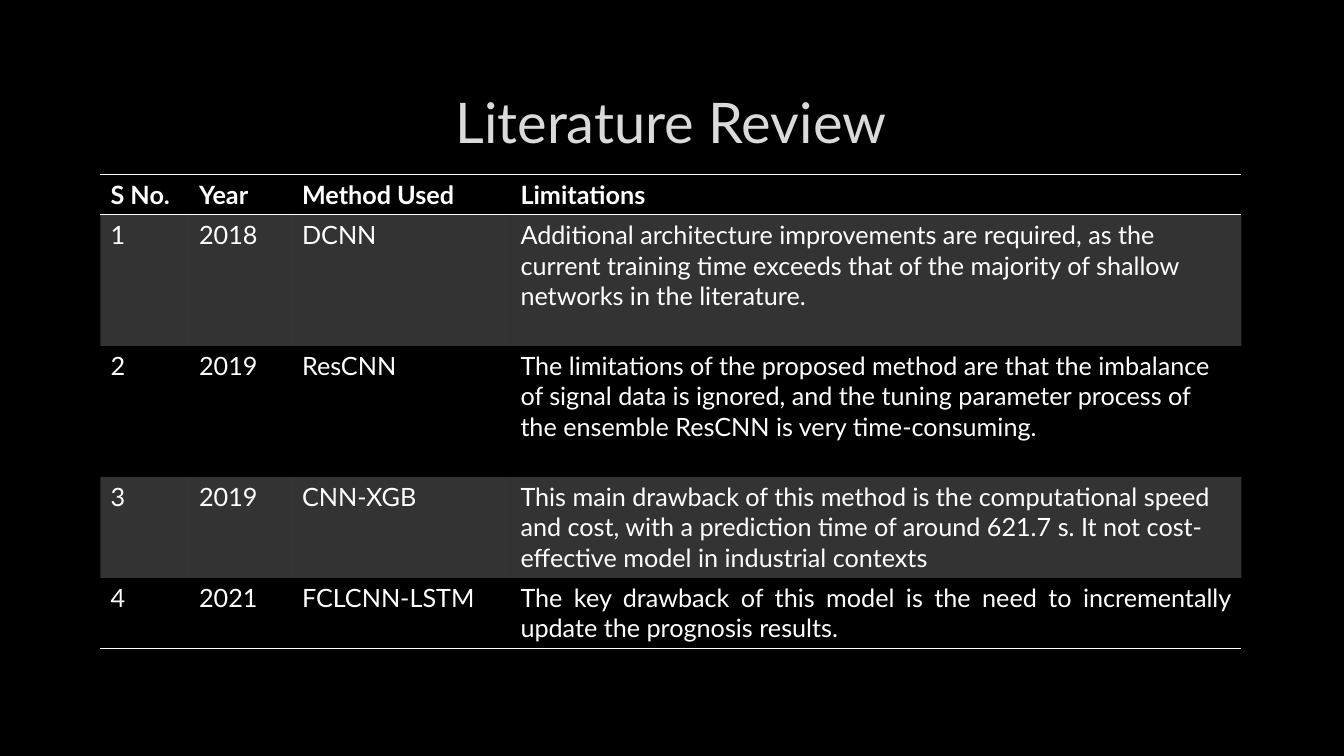
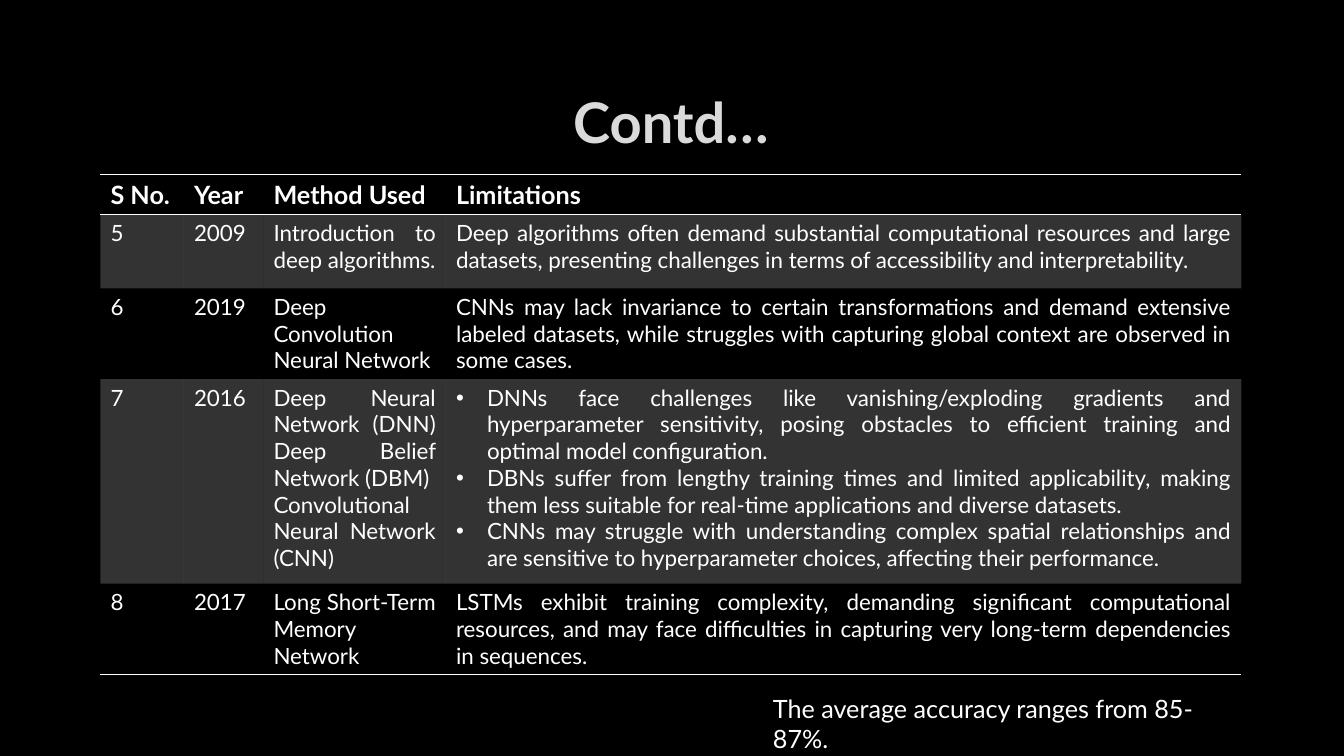
from dataclasses import dataclass
from lxml import etree
from pptx import Presentation
from pptx.dml.color import RGBColor
from pptx.enum.text import MSO_ANCHOR, MSO_AUTO_SIZE, PP_ALIGN
from pptx.oxml.ns import qn
from pptx.util import Pt

LEFT, MID, JUST = PP_ALIGN.LEFT, PP_ALIGN.CENTER, PP_ALIGN.JUSTIFY
CENTRE = MSO_ANCHOR.MIDDLE
FIXED, GROW = MSO_AUTO_SIZE.NONE, MSO_AUTO_SIZE.SHAPE_TO_FIT_TEXT
WIDE, HIGH = 2688, 1512
SCALE = 12192000 / WIDE
PLAIN = "{2D5ABB26-0587-4C30-8999-92F81FD0307C}"


@dataclass(frozen=True)
class Theme:
    font: str = "Lato"
    back: str = "000000"
    ink: str = "FFFFFF"
    head: str = "DADADA"
    edge: str = "404040"
    band: int = 20
    faint: int = 10
    title: int = 40
    text: int = 18
    small: int = 16
    rule: float = 1
    thin: float = 0.75


LOOK = Theme()
TITLE = (201, 135, 2282, 213)
GRID = (201, 349, 2282)
NOTE = (1526, 1377, 960, 81)
HEADS = ["S No.", "Year", "Method Used", "Limitations"]

REVIEW = [
    ["1", "2018", "DCNN",
     "Additional architecture improvements are required, as the current "
     "training time exceeds that of the majority of shallow networks in the "
     "literature."],
    ["2", "2019", "ResCNN",
     "The limitations of the proposed method are that the imbalance of signal "
     "data is ignored, and the tuning parameter process of the ensemble ResCNN "
     "is very time-consuming."],
    ["3", "2019", "CNN-XGB",
     "This main drawback of this method is the computational speed and cost, "
     "with a prediction time of around 621.7 s. It not cost-effective model in "
     "industrial contexts"],
    ["4", "2021", "FCLCNN-LSTM",
     "The key drawback of this model is the need to incrementally update the "
     "prognosis results."],
]

MORE = [
    ["5", "2009", "Introduction to deep algorithms.",
     "Deep algorithms often demand substantial computational resources and "
     "large datasets, presenting challenges in terms of accessibility and "
     "interpretability."],
    ["6", "2019", "Deep Convolution Neural Network",
     "CNNs may lack invariance to certain transformations and demand extensive "
     "labeled datasets, while struggles with capturing global context are "
     "observed in some cases."],
    ["7", "2016",
     "Deep Neural Network (DNN)\vDeep Belief Network (DBM)\n"
     "Convolutional Neural Network (CNN)",
     "DNNs face challenges like vanishing/exploding gradients and "
     "hyperparameter sensitivity, posing obstacles to efficient training and "
     "optimal model configuration.\n"
     "DBNs suffer from lengthy training times and limited applicability, making "
     "them less suitable for real-time applications and diverse datasets.\n"
     "CNNs may struggle with understanding complex spatial relationships and "
     "are sensitive to hyperparameter choices, affecting their performance."],
    ["8", "2017", "Long Short-Term Memory Network",
     "LSTMs exhibit training complexity, demanding significant computational "
     "resources, and may face difficulties in capturing very long-term "
     "dependencies in sequences."],
]


def px(num):
    return round(num * SCALE)


def style(frame, size, color, bold=False, align=LEFT):
    for para in frame.paragraphs:
        para.alignment = align
        for run in para.runs:
            font = run.font
            font.name, font.size, font.bold = LOOK.font, Pt(size), bold
            font.color.rgb = RGBColor.from_string(color)


def paint(node, color, alpha=100):
    fill = etree.SubElement(node, qn("a:solidFill"))
    tint = etree.SubElement(fill, qn("a:srgbClr"), val=color)
    if alpha < 100:
        etree.SubElement(tint, qn("a:alpha"), val=str(alpha * 1000))


def line(tag, width, color, alpha=100):
    node = etree.Element(qn(tag), w=str(Pt(width)))
    paint(node, color, alpha)
    return node


def bullet(frame):
    for para in frame.paragraphs:
        props = para._p.get_or_add_pPr()
        props.set("marL", str(px(62)))
        props.set("indent", str(px(-62)))
        etree.SubElement(props, qn("a:buFont"), typeface="Arial")
        etree.SubElement(props, qn("a:buChar"), char="•")


def add_title(slide, box, text, bold):
    shape = slide.shapes.title
    shape.left, shape.top, shape.width, shape.height = map(px, box)
    frame = shape.text_frame
    frame.text = text
    frame.auto_size, frame.vertical_anchor = FIXED, CENTRE
    style(frame, LOOK.title, LOOK.head, bold, MID)
    props = frame.paragraphs[0].runs[0]._r.get_or_add_rPr()
    props.insert(0, line("a:ln", LOOK.thin, LOOK.edge, LOOK.faint))


def add_note(slide, box, text):
    frame = slide.shapes.add_textbox(*map(px, box)).text_frame
    frame.text = text
    frame.word_wrap, frame.auto_size = True, GROW
    style(frame, LOOK.text, LOOK.ink)


def add_grid(slide, box, cols, tall, rows, size, just):
    left, top, wide = box
    rows = [HEADS] + rows
    last = len(rows) - 1
    frame = slide.shapes.add_table(
        len(rows), len(cols), px(left), px(top), px(wide), px(sum(tall)))
    table = frame.table
    table.first_row = table.horz_banding = False
    table._tbl.tblPr.find(qn("a:tableStyleId")).text = PLAIN
    for col, width in zip(table.columns, cols):
        col.width = px(width)
    for i, (row, height) in enumerate(zip(rows, tall)):
        table.rows[i].height = px(height)
        for j, text in enumerate(row):
            cell = table.cell(i, j)
            cell.text_frame.text = text
            style(cell.text_frame, size if i else LOOK.text, LOOK.ink,
                  i == 0, JUST if i >= just else LEFT)
            if j == 3 and "\n" in text:
                bullet(cell.text_frame)
            props = cell._tc.get_or_add_tcPr()
            if i == 0:
                props.append(line("a:lnT", LOOK.rule, LOOK.ink))
            if i in (0, last):
                props.append(line("a:lnB", LOOK.rule, LOOK.ink))
            if i % 2:
                paint(props, LOOK.ink, LOOK.band)
            else:
                etree.SubElement(props, qn("a:noFill"))


def add_page(deck, title, bold=False):
    slide = deck.slides.add_slide(deck.slide_layouts[5])
    add_title(slide, TITLE, title, bold)
    return slide


def main():
    deck = Presentation()
    deck.slide_width, deck.slide_height = px(WIDE), px(HIGH)
    fill = deck.slide_master.background.fill
    fill.solid()
    fill.fore_color.rgb = RGBColor.from_string(LOOK.back)

    slide = add_page(deck, "Literature Review")
    add_grid(slide, GRID, [177, 206, 437, 1462], [80, 262, 262, 202, 141],
             REVIEW, LOOK.text, 4)

    slide = add_page(deck, "Contd…", True)
    add_note(slide, NOTE, "The average accuracy ranges from 85-87%.")
    add_grid(slide, GRID, [167, 159, 365, 1591], [80, 147, 181, 409, 181],
             MORE, LOOK.small, 1)
    deck.save("out.pptx")


if __name__ == "__main__":
    main()
